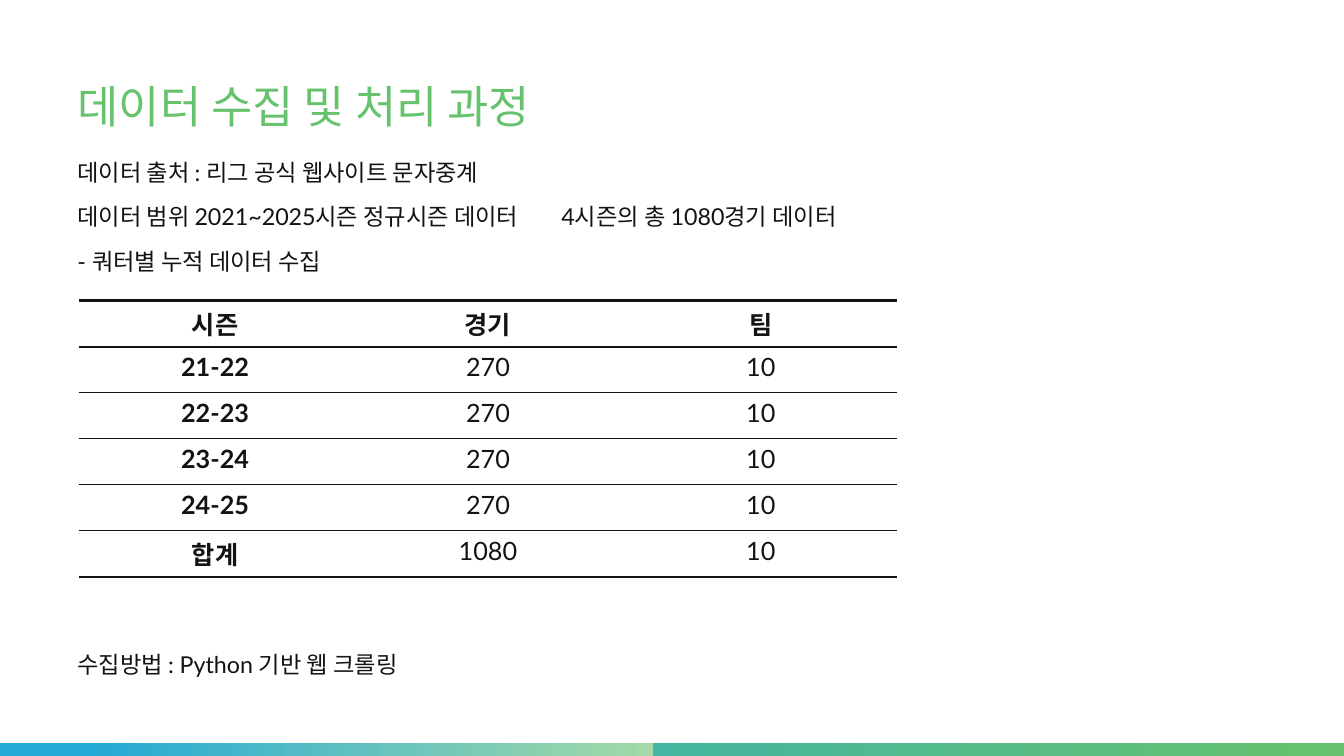
from lxml.etree import SubElement
from pptx import Presentation
from pptx.dml.color import RGBColor
from pptx.enum.shapes import MSO_SHAPE
from pptx.enum.text import MSO_ANCHOR, MSO_AUTO_SIZE, PP_ALIGN
from pptx.oxml.ns import qn
from pptx.util import Inches, Pt

INK, GREEN, BLUE, PALE, WHITE = "131313", "66C26C", "25AAD5", "A3DAA7", "FFFFFF"
PLAIN = "{2D5ABB26-0587-4C30-8999-92F81FD0307C}"


def color(code):
    return RGBColor.from_string(code)


def apply(target, values):
    for name, value in values.items():
        setattr(target, name, value)


class Deck:
    face = "Lato"
    frame = {"word_wrap": True, "auto_size": MSO_AUTO_SIZE.NONE}

    def __init__(self):
        self.prs = Presentation()
        apply(self.prs, {"slide_width": Inches(13.33), "slide_height": Inches(7.5)})
        self.slide = self.prs.slides.add_slide(self.prs.slide_layouts[5])

    def style(self, para, size, code, bold=False, **form):
        apply(para, form)
        apply(para.font, {"name": self.face, "size": Pt(size), "bold": bold})
        para.font.color.rgb = color(code)

    def bar(self, width, first, last, start):
        bar = self.slide.shapes.add_shape(
            MSO_SHAPE.RECTANGLE, 0, Inches(7.37), Inches(width), Inches(0.13))
        bar.shadow.inherit = False
        bar.line.fill.background()
        bar.fill.gradient()
        bar.fill.gradient_angle = 0
        for stop, code, place in zip(bar.fill.gradient_stops, (first, last), (start, 1)):
            stop.color.rgb = color(code)
            stop.position = place

    def title(self, text):
        title = self.slide.shapes.title
        apply(title, {"left": Inches(0.67), "top": Inches(0.5),
                      "width": Inches(11.98), "height": Inches(0.87)})
        apply(title.text_frame, {**self.frame, "text": text,
                                 "vertical_anchor": MSO_ANCHOR.BOTTOM})
        self.style(title.text_frame.paragraphs[0], 32, GREEN,
                   alignment=PP_ALIGN.LEFT, line_spacing=0.9)

    def text(self, top, height, lines):
        box = self.slide.shapes.add_textbox(
            Inches(0.67), Inches(top), Inches(11.98), Inches(height)).text_frame
        apply(box, {**self.frame, "text": "\n".join(lines)})
        for row, para in enumerate(box.paragraphs):
            if "\t" in lines[row]:
                tabs = SubElement(para._p.get_or_add_pPr(), qn("a:tabLst"))
                SubElement(tabs, qn("a:tab"), pos=str(Inches(4.8)), algn="l")
            self.style(para, 16.6, INK, line_spacing=1.1,
                       space_before=Pt(10 if row else 0))

    def edge(self, cell, side, width):
        line = SubElement(cell._tc.get_or_add_tcPr(), qn(f"a:{side}"), w=str(Pt(width)))
        fill = SubElement(line, qn("a:solidFill"))
        SubElement(fill, qn("a:srgbClr"), val=INK)

    def table(self, rows):
        count, wide = len(rows), len(rows[0])
        table = self.slide.shapes.add_table(
            count, wide, Inches(0.78), Inches(2.98), Inches(8.12), Inches(2.73)).table
        table._tbl.tblPr.find(qn("a:tableStyleId")).text = PLAIN
        for r, row in enumerate(rows):
            for c, text in enumerate(row):
                cell = table.cell(r, c)
                cell.text = text
                self.style(cell.text_frame.paragraphs[0], 18, INK,
                           bold=r == 0 or c == 0, alignment=PP_ALIGN.CENTER)
                self.edge(cell, "lnT", 2.25 if r == 0 else 1)
                self.edge(cell, "lnB", 2.25 if r == count - 1 else 1)
                cell.fill.solid()
                cell.fill.fore_color.rgb = color(WHITE)


def main():
    deck = Deck()
    deck.bar(13.33, BLUE, GREEN, 0)
    deck.bar(6.48, BLUE, PALE, 0.15)
    deck.title("데이터 수집 및 처리 과정")
    deck.text(1.49, 1.4, [
        "데이터 출처 : 리그 공식 웹사이트 문자중계",
        "데이터 범위 2021~2025시즌 정규시즌 데이터\t4시즌의 총 1080경기 데이터",
        "- 쿼터별 누적 데이터 수집",
    ])
    years = [[f"{year}-{year + 1}", "270", "10"] for year in range(21, 25)]
    deck.table([["시즌", "경기", "팀"], *years, ["합계", "1080", "10"]])
    deck.text(6.37, 0.5, ["수집방법 : Python 기반 웹 크롤링"])
    deck.prs.save("out.pptx")


if __name__ == "__main__":
    main()
